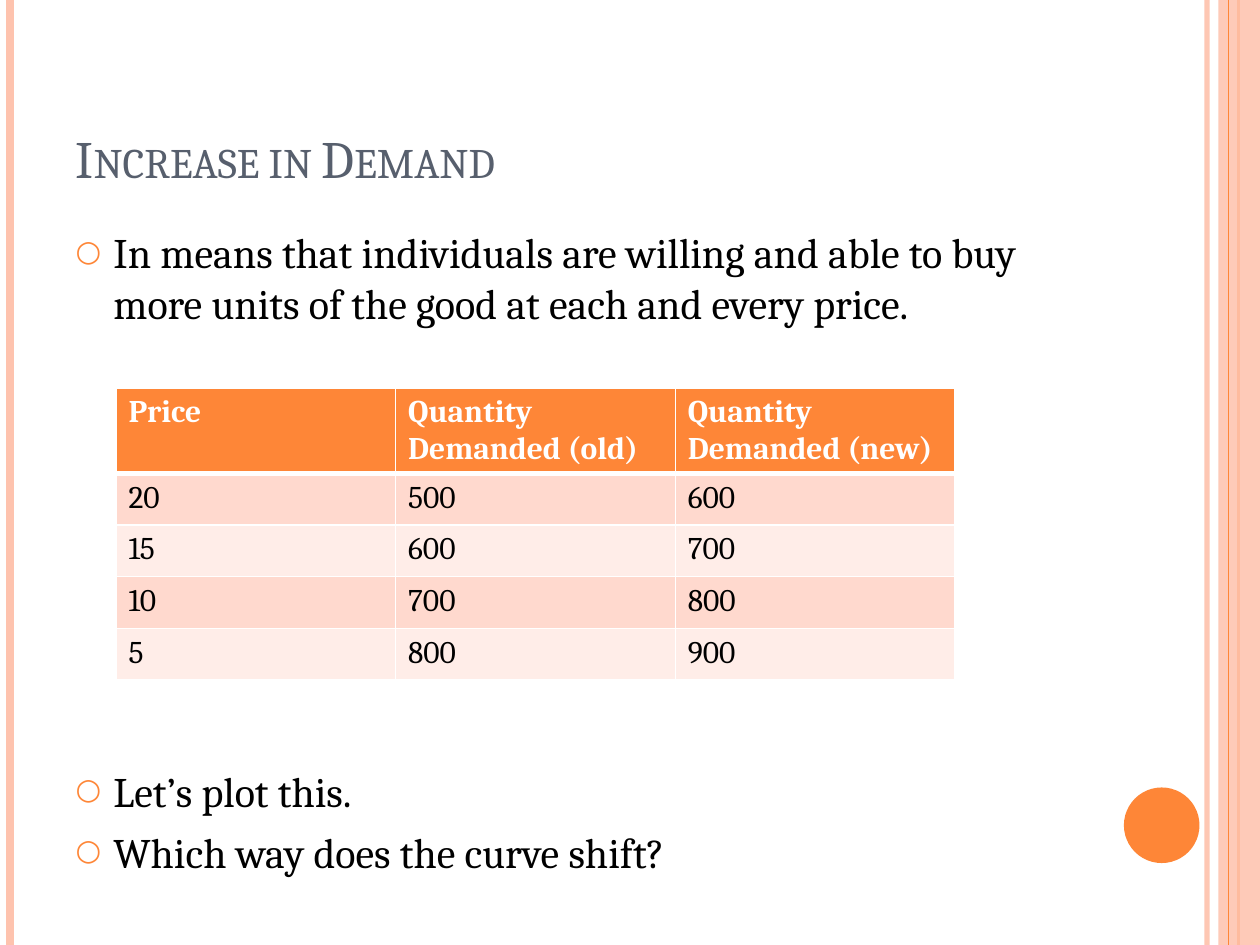
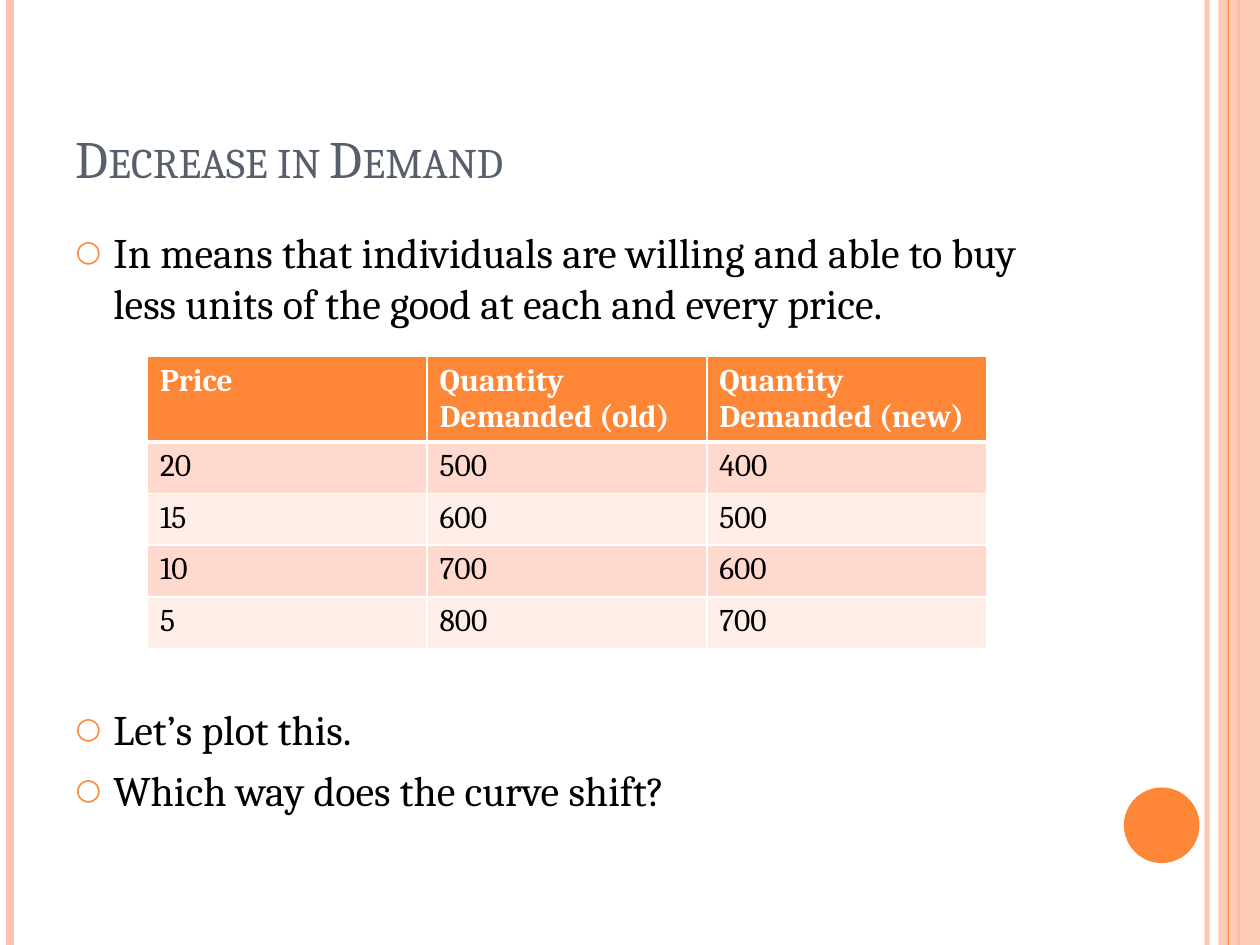
"""Build two slides on shifts in demand, each with a price and quantity table."""
from dataclasses import dataclass

from lxml.etree import SubElement
from pptx import Presentation
from pptx.dml.color import RGBColor
from pptx.enum.shapes import MSO_CONNECTOR, MSO_SHAPE
from pptx.enum.text import MSO_ANCHOR, MSO_AUTO_SIZE, PP_ALIGN
from pptx.oxml.ns import qn
from pptx.util import Inches, Pt

FONT = "Cambria"
ORANGE = RGBColor(0xFE, 0x86, 0x37)
PEACH = RGBColor(0xFE, 0xC3, 0xAE)
SLATE = RGBColor(0x57, 0x5F, 0x6D)
BLACK = RGBColor(0x00, 0x00, 0x00)
WHITE = RGBColor(0xFF, 0xFF, 0xFF)
BAND_DARK = RGBColor(0xFF, 0xD9, 0xCE)
BAND_LIGHT = RGBColor(0xFF, 0xED, 0xE8)

SLIDE_WIDTH, SLIDE_HEIGHT = Inches(10), Inches(7.5)
COLUMN_WIDTH = Inches(2.22)
HEADER_HEIGHT, ROW_HEIGHT = Inches(0.66), Inches(0.41)
HEADER = ("Price", "Quantity Demanded (old)", "Quantity Demanded (new)")
PRICES = (20, 15, 10, 5)
OLD_QUANTITIES = (500, 600, 700, 800)
QUESTIONS = ("Let’s plot this.", "Which way does the curve shift?")


@dataclass(frozen=True)
class Stripe:
    """A full-height vertical line."""
    x: float
    color: RGBColor
    width: float
    opacity: int = 100


@dataclass(frozen=True)
class Block:
    """A filled shape at the right edge."""
    kind: MSO_SHAPE
    left: float
    top: float
    width: float
    height: float
    color: RGBColor
    opacity: int = 100


@dataclass(frozen=True)
class DemandShift:
    """The content that differs between the slides."""
    title: str
    meaning: str
    new_quantities: tuple
    table_left: float
    table_top: float
    question_gap: int


DECORATIONS = (
    Stripe(9.58, PEACH, 3, 93),
    Stripe(0.08, PEACH, 4.5),
    Stripe(9.83, ORANGE, 1.5),
    Block(MSO_SHAPE.RECTANGLE, 9.67, 0, 0.33, 7.5, PEACH, 87),
    Stripe(9.75, ORANGE, 0.75),
    Block(MSO_SHAPE.OVAL, 8.92, 6.25, 0.6, 0.6, ORANGE),
)
SHIFTS = (
    DemandShift(
        "Increase in Demand",
        "In means that individuals are willing and able to buy more units of the good at each and every price.",
        (600, 700, 800, 900), 0.92, 3.08, 250),
    DemandShift(
        "Decrease in Demand",
        "In means that individuals are willing and able to buy less units of the good at each and every price.",
        (400, 500, 600, 700), 1.17, 2.83, 215),
)


def set_opacity(shape, percent: int) -> None:
    """Make the colours of a shape partly transparent."""
    if percent < 100:
        for color in shape._element.spPr.iter(qn("a:srgbClr")):
            SubElement(color, qn("a:alpha"), val=str(percent * 1000))


def draw_stripe(slide, stripe: Stripe) -> None:
    """Draw one vertical line down the slide."""
    x = Inches(stripe.x)
    connector = slide.shapes.add_connector(MSO_CONNECTOR.STRAIGHT, x, 0, x, SLIDE_HEIGHT)
    connector.line.color.rgb = stripe.color
    connector.line.width = Pt(stripe.width)
    set_opacity(connector, stripe.opacity)
    SubElement(connector._element.spPr, qn("a:effectLst"))


def draw_block(slide, block: Block) -> None:
    """Draw one filled shape without outline."""
    shape = slide.shapes.add_shape(
        block.kind, Inches(block.left), Inches(block.top), Inches(block.width), Inches(block.height))
    shape.shadow.inherit = False
    shape.fill.solid()
    shape.fill.fore_color.rgb = block.color
    shape.line.fill.background()
    set_opacity(shape, block.opacity)


def draw_decorations(slide) -> None:
    """Draw the stripes and blocks shared by all slides."""
    for item in DECORATIONS:
        if isinstance(item, Stripe):
            draw_stripe(slide, item)
        else:
            draw_block(slide, item)


def style_font(font, size: int, color: RGBColor, bold: bool = False) -> None:
    """Apply the deck font."""
    font.name = FONT
    font.size = Pt(size)
    font.color.rgb = color
    font.bold = bold


def place(placeholder, top: float, height: float, anchor: MSO_ANCHOR) -> None:
    """Move a placeholder to the text column."""
    placeholder.left, placeholder.top = Inches(0.5), Inches(top)
    placeholder.width, placeholder.height = Inches(8.17), Inches(height)
    placeholder.text_frame.word_wrap = True
    placeholder.text_frame.auto_size = MSO_AUTO_SIZE.NONE
    placeholder.text_frame.vertical_anchor = anchor


def fill_title(slide, text: str) -> None:
    """Write the title in small capitals."""
    title = slide.shapes.title
    place(title, 0.3, 1.25, MSO_ANCHOR.BOTTOM)
    title.text_frame.text = text
    paragraph = title.text_frame.paragraphs[0]
    paragraph.alignment = PP_ALIGN.LEFT
    run = paragraph.runs[0]
    style_font(run.font, 30, SLATE)
    run.font._element.set("cap", "small")


def add_bullet(paragraph) -> None:
    """Give a paragraph a hanging orange ring."""
    properties = paragraph._p.get_or_add_pPr()
    properties.set("marL", str(Inches(0.3)))
    properties.set("indent", str(-Inches(0.3)))
    color = SubElement(properties, qn("a:buClr"))
    SubElement(color, qn("a:srgbClr"), val=str(ORANGE))
    SubElement(properties, qn("a:buSzPct"), val="70000")
    SubElement(properties, qn("a:buFont"), typeface=FONT)
    SubElement(properties, qn("a:buChar"), char="○")


def fill_body(slide, shift: DemandShift) -> None:
    """Write the bullets, leaving room for the table after the first."""
    body = slide.placeholders[1]
    place(body, 1.75, 5.33, MSO_ANCHOR.TOP)
    body.text_frame.text = "\n".join((shift.meaning, *QUESTIONS))
    for paragraph, gap in zip(body.text_frame.paragraphs, (0, shift.question_gap, 6)):
        add_bullet(paragraph)
        paragraph.space_before = Pt(gap)
        style_font(paragraph.runs[0].font, 24, BLACK)


def set_borders(cell, bottom_width: float) -> None:
    """Draw white cell borders."""
    properties = cell._tc.get_or_add_tcPr()
    for side, width in (("L", 1), ("R", 1), ("T", 1), ("B", bottom_width)):
        line = SubElement(properties, qn(f"a:ln{side}"), w=str(Pt(width)))
        fill = SubElement(line, qn("a:solidFill"))
        SubElement(fill, qn("a:srgbClr"), val=str(WHITE))


def fill_cell(cell, text: str, row_index: int) -> None:
    """Write and colour one table cell."""
    is_header = row_index == 0
    set_borders(cell, 3 if is_header else 1)
    cell.fill.solid()
    band = BAND_DARK if row_index % 2 else BAND_LIGHT
    cell.fill.fore_color.rgb = ORANGE if is_header else band
    cell.text_frame.text = text
    run = cell.text_frame.paragraphs[0].runs[0]
    style_font(run.font, 18, WHITE if is_header else BLACK, is_header)


def add_demand_table(slide, shift: DemandShift) -> None:
    """Add the table of prices with old and new quantities."""
    rows = (HEADER, *zip(PRICES, OLD_QUANTITIES, shift.new_quantities))
    table = slide.shapes.add_table(
        len(rows), len(HEADER), Inches(shift.table_left), Inches(shift.table_top),
        COLUMN_WIDTH * len(HEADER), HEADER_HEIGHT + ROW_HEIGHT * len(PRICES)).table
    for column in table.columns:
        column.width = COLUMN_WIDTH
    for row_index, values in enumerate(rows):
        table.rows[row_index].height = ROW_HEIGHT if row_index else HEADER_HEIGHT
        for column_index, value in enumerate(values):
            fill_cell(table.cell(row_index, column_index), str(value), row_index)


def main() -> None:
    """Build and save the presentation."""
    presentation = Presentation()
    presentation.slide_width, presentation.slide_height = SLIDE_WIDTH, SLIDE_HEIGHT
    for shift in SHIFTS:
        slide = presentation.slides.add_slide(presentation.slide_layouts[1])
        draw_decorations(slide)
        fill_title(slide, shift.title)
        fill_body(slide, shift)
        add_demand_table(slide, shift)
    presentation.save("out.pptx")


if __name__ == "__main__":
    main()
